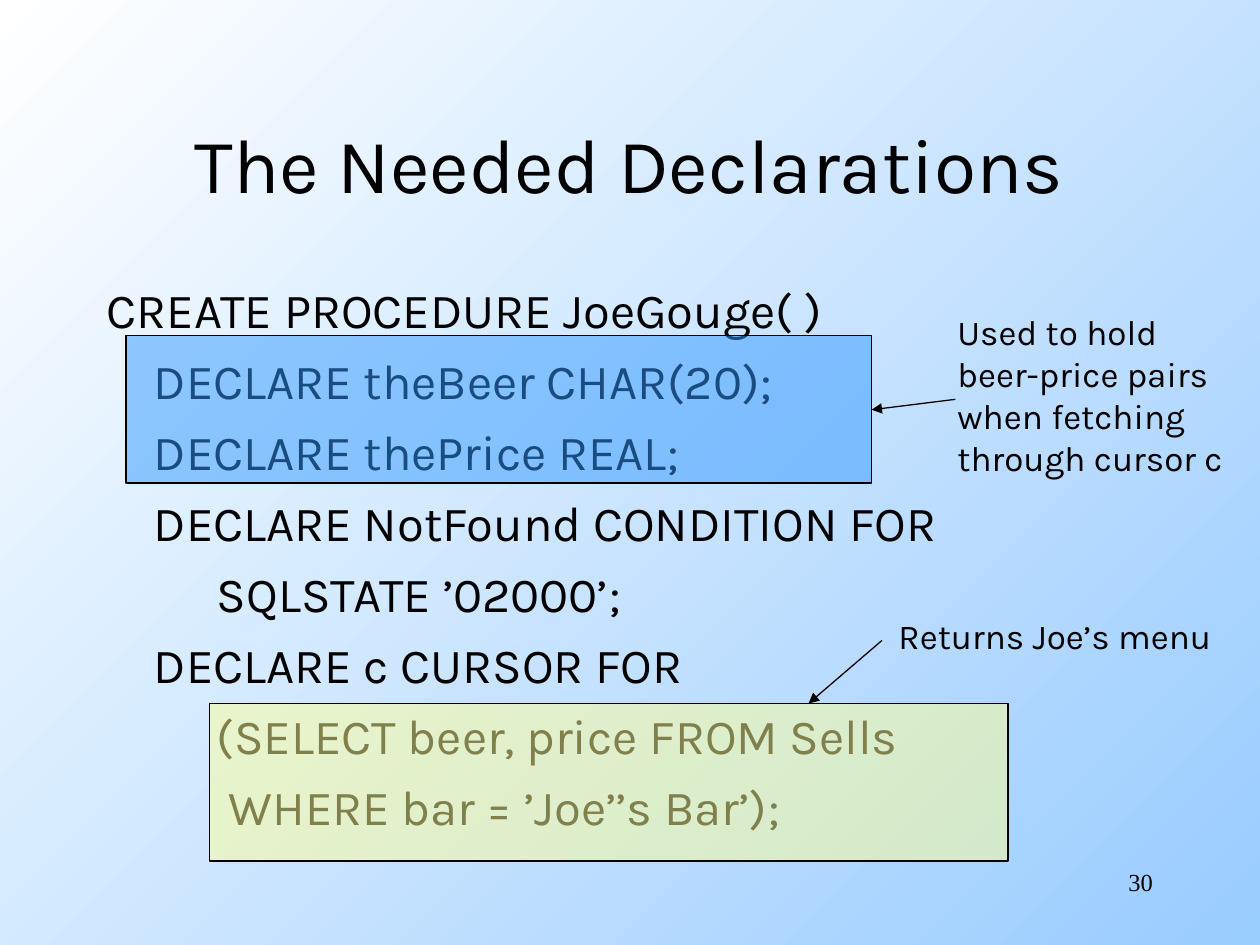
from dataclasses import dataclass

from lxml.etree import SubElement
from pptx import Presentation
from pptx.dml.color import RGBColor
from pptx.enum.shapes import MSO_CONNECTOR, MSO_SHAPE
from pptx.enum.text import MSO_ANCHOR, MSO_AUTO_SIZE, PP_ALIGN
from pptx.oxml.ns import qn
from pptx.util import Cm, Pt

BLACK = "000000"
HANGING = Cm(0.95)
TAB_STEP = Cm(2.54)
CODE = (
    "CREATE PROCEDURE JoeGouge( )",
    "\tDECLARE theBeer CHAR(20);",
    "\tDECLARE thePrice REAL;",
    "\tDECLARE NotFound CONDITION FOR",
    "\t\tSQLSTATE ’02000’;",
    "\tDECLARE c CURSOR FOR",
    "\t\t(SELECT beer, price FROM Sells",
    "\t\t WHERE bar = ’Joe’’s Bar’);",
)


@dataclass(frozen=True)
class Callout:
    """A tinted frame over code, its note, and an arrow between; lengths in cm."""
    frame: tuple[float, float, float, float]
    tint: str
    note_area: tuple[float, float, float, float]
    note: tuple[str, ...]
    arrow: tuple[float, float, float, float]


CALLOUTS = (
    Callout((2.54, 6.77, 15.03, 2.97), "3399FF", (19.05, 6.14, 6.05, 3.66),
            ("Used to hold", "beer-price pairs", "when fetching", "through cursor c"),
            (19.26, 8.05, 17.57, 8.26)),
    Callout((4.23, 14.18, 16.09, 3.18), "FFFF99", (17.86, 12.27, 6.88, 1.12),
            ("Returns Joe’s menu",), (17.78, 12.91, 16.3, 14.18)),
)


def colour(value: str) -> RGBColor:
    return RGBColor.from_string(value)


def place(box, left: float, top: float, width: float, height: float) -> None:
    box.left, box.top, box.width, box.height = map(Cm, (left, top, width, height))


def write(frame, lines, *, size: float, font: str = "Karla",
          align=PP_ALIGN.LEFT, gap: float = 0, code: bool = False) -> None:
    for index, line in enumerate(lines):
        para = frame.paragraphs[0] if index == 0 else frame.add_paragraph()
        if code:
            indent_code(para)
        para.alignment = align
        para.space_before = Pt(gap if index else 0)
        span = para.add_run()
        span.text = line
        span.font.name = font
        span.font.size = Pt(size)
        span.font.color.rgb = colour(BLACK)


def indent_code(para) -> None:
    """Remove the bullet and set a hanging indent with evenly spaced tabs."""
    properties = para._p.get_or_add_pPr()
    properties.set("marL", str(HANGING))
    properties.set("indent", str(-HANGING))
    SubElement(properties, qn("a:buNone"))
    tabs = SubElement(properties, qn("a:tabLst"))
    for stop in range(8):
        SubElement(tabs, qn("a:tab"), pos=str(stop * TAB_STEP), algn="l")


def add_text(page, area, lines, *, wrap: bool = True, **style) -> None:
    box = page.shapes.add_textbox(*map(Cm, area))
    box.text_frame.word_wrap = wrap
    if not wrap:
        box.text_frame.auto_size = MSO_AUTO_SIZE.SHAPE_TO_FIT_TEXT
    write(box.text_frame, lines, **style)


def add_frame(page, area, tint: str) -> None:
    box = page.shapes.add_shape(MSO_SHAPE.RECTANGLE, *map(Cm, area))
    box.shadow.inherit = False
    box.fill.solid()
    box.fill.fore_color.rgb = colour(tint)
    SubElement(box._element.spPr.find(".//" + qn("a:srgbClr")),
               qn("a:alpha"), val="50000")
    box.line.color.rgb = colour(BLACK)
    box.line.width = Pt(0.75)


def add_arrow(page, ends) -> None:
    arrow = page.shapes.add_connector(MSO_CONNECTOR.STRAIGHT, *map(Cm, ends))
    arrow.line.color.rgb = colour(BLACK)
    arrow.line.width = Pt(0.75)
    SubElement(arrow.line._get_or_add_ln(), qn("a:tailEnd"), type="triangle")
    SubElement(arrow._element.spPr, qn("a:effectLst"))


def add_callout(page, callout: Callout) -> None:
    add_frame(page, callout.frame, callout.tint)
    add_text(page, callout.note_area, callout.note, wrap=False, size=20)
    add_arrow(page, callout.arrow)


def paint_background(page) -> None:
    fill = page.background.fill
    fill.gradient()
    fill.gradient_angle = 315
    for stop, position, value in zip(fill.gradient_stops, (0, 1), ("FFFFFF", "99CCFF")):
        stop.position = position
        stop.color.rgb = colour(value)


def main() -> None:
    deck = Presentation()
    deck.slide_width, deck.slide_height = Cm(25.4), Cm(19.05)
    page = deck.slides.add_slide(deck.slide_layouts[1])
    paint_background(page)

    title, body = page.placeholders
    place(title, 1.9, 1.69, 21.59, 3.18)
    place(body, 1.9, 5.5, 21.59, 11.43)
    for box, anchor in ((title, MSO_ANCHOR.MIDDLE), (body, MSO_ANCHOR.TOP)):
        box.text_frame.auto_size = MSO_AUTO_SIZE.NONE
        box.text_frame.vertical_anchor = anchor
    write(title.text_frame, ["The Needed Declarations"], size=44, align=PP_ALIGN.CENTER)
    write(body.text_frame, CODE, size=28, gap=7, code=True)

    for callout in CALLOUTS:
        add_callout(page, callout)
    add_text(page, (18.2, 17.36, 5.29, 1.27), ["30"], size=14,
             font="Times New Roman", align=PP_ALIGN.RIGHT)
    deck.save("out.pptx")


if __name__ == "__main__":
    main()
